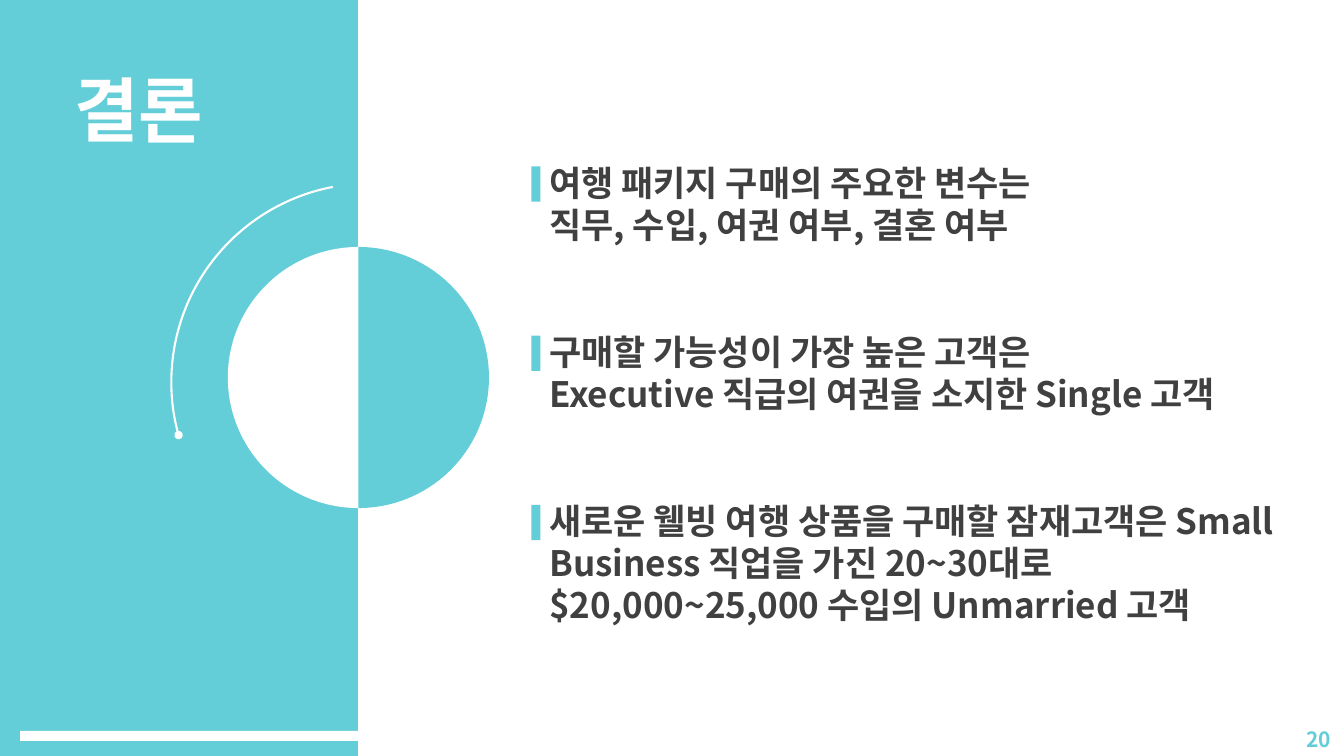
"""Build the conclusion slide: a split panel with three findings."""
from lxml import etree
from pptx import Presentation
from pptx.dml.color import RGBColor
from pptx.enum import shapes, text
from pptx.oxml import ns
from pptx.util import Inches, Pt

FONT = "Noto Sans CJK KR"
TEAL, WHITE, DARK = "64CED8", "FFFFFF", "404040"

deck = Presentation()
deck.slide_width, deck.slide_height = Inches(13.33), Inches(7.5)
slide = deck.slides.add_slide(deck.slide_layouts[6])


def add_figure(kind, left, top, width, height, color):
    figure = slide.shapes.add_shape(
        kind, Inches(left), Inches(top), Inches(width), Inches(height))
    figure.shadow.inherit = False
    figure.line.fill.background()
    figure.fill.solid()
    figure.fill.fore_color.rgb = RGBColor.from_string(color)
    return figure


def add_label(lines, left, top, width, height, size, color):
    frame = slide.shapes.add_textbox(
        Inches(left), Inches(top), Inches(width), Inches(height)).text_frame
    frame.word_wrap = True
    frame.auto_size = text.MSO_AUTO_SIZE.SHAPE_TO_FIT_TEXT
    frame.text = "\n".join(lines)
    for paragraph in frame.paragraphs:
        font = paragraph.font
        font.size, font.bold, font.name = Pt(size), True, FONT
        font.color.rgb = RGBColor.from_string(color)
        latin = paragraph._p.pPr.find(".//" + ns.qn("a:latin"))
        east_asian = etree.Element(ns.qn("a:ea"), typeface=FONT)
        latin.addnext(east_asian)
    return frame


kinds = shapes.MSO_SHAPE
add_figure(kinds.RECTANGLE, 0, 0, 3.55, 7.5, TEAL)
for color, start, end in ((WHITE, 54, 162), (TEAL, 162, 54)):
    half_circle = add_figure(kinds.CHORD, 2.26, 2.45, 2.59, 2.59, color)
    half_circle.adjustments[0] = start
    half_circle.adjustments[1] = end
add_figure(kinds.RECTANGLE, 0.2, 7.25, 3.93, 0.1, WHITE)

orbit = add_figure(kinds.ARC, 1.7, 1.82, 3.94, 3.94, WHITE)
orbit.fill.background()
orbit.adjustments[0] = 98.7
orbit.adjustments[1] = 155.53
orbit.line.color.rgb = RGBColor.from_string(WHITE)
orbit.line.width = Pt(1.5)
etree.SubElement(orbit.line._get_or_add_ln(), ns.qn("a:headEnd"), type="oval")

title = add_label(["결론"], 0.64, 0.61, 3.31, 0.94, 50, WHITE)
title.vertical_anchor = text.MSO_ANCHOR.MIDDLE

findings = [
    (7.13, 0.94, ["여행 패키지 구매의 주요한 변수는",
                  "직무, 수입, 여권 여부, 결혼 여부"]),
    (7.65, 0.94, ["구매할 가능성이 가장 높은 고객은",
                  "Executive 직급의 여권을 소지한 Single 고객"]),
    (7.65, 1.36, ["새로운 웰빙 여행 상품을 구매할 잠재고객은 Small Business 직업을 가진 20~30대로",
                  "$20,000~25,000 수입의 Unmarried 고객"]),
]
for index, (width, height, lines) in enumerate(findings):
    top = 1.55 + 1.68 * index
    add_figure(kinds.RECTANGLE, 5.27, top + 0.1, 0.09, 0.35, TEAL)
    add_label(lines, 5.35, top, width, height, 25, DARK)

page_number = add_label(["20"], 12.72, 7.16, 0.58, 0.35, 15, TEAL)
page_number.paragraphs[0].alignment = text.PP_ALIGN.RIGHT

deck.save("out.pptx")
